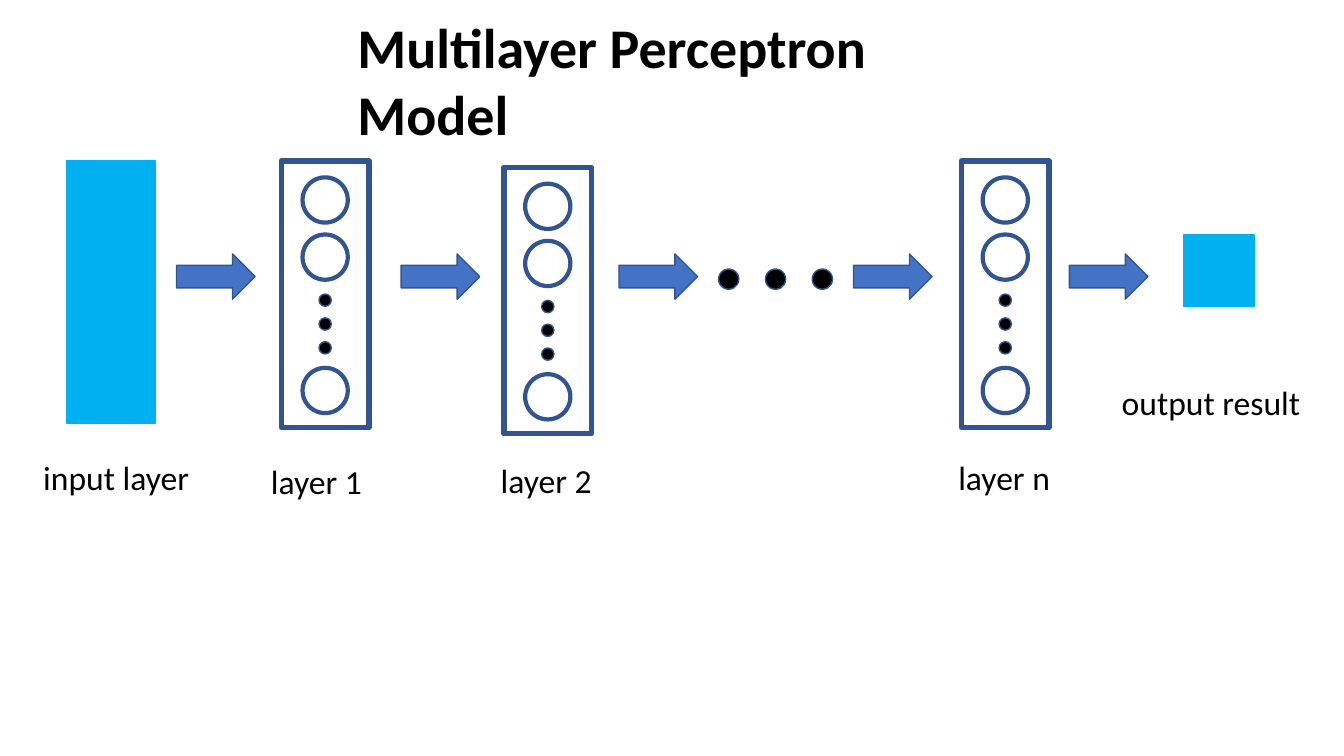
import dataclasses
import typing

import pptx
import pptx.dml.color
import pptx.enum.shapes
import pptx.enum.text
import pptx.util

Cm = pptx.util.Cm
Kind = pptx.enum.shapes.MSO_SHAPE
Color = pptx.dml.color.RGBColor.from_string


@dataclasses.dataclass(frozen=True)
class Theme:
    font: str = "Calibri"
    black: str = "000000"
    white: str = "FFFFFF"
    sky: str = "00B0F0"
    blue: str = "4472C4"
    navy: str = "325491"
    title: int = 40
    label: int = 24


@dataclasses.dataclass(frozen=True)
class Style:
    kind: Kind
    fill: str
    line: str
    weight: float


@dataclasses.dataclass(frozen=True)
class Box:
    left: float
    top: float
    width: float
    height: float

    def span(self) -> list[pptx.util.Length]:
        return [Cm(size) for size in dataclasses.astuple(self)]


@dataclasses.dataclass(frozen=True)
class Label:
    text: str
    box: Box
    size: int
    bold: bool = False


THEME = Theme()
BLOCK = Style(Kind.RECTANGLE, THEME.sky, THEME.sky, 1)
FRAME = Style(Kind.RECTANGLE, THEME.white, THEME.navy, 4)
NODE = Style(Kind.OVAL, THEME.white, THEME.navy, 3)
DOT = Style(Kind.OVAL, THEME.black, THEME.navy, 1)
ARROW = Style(Kind.RIGHT_ARROW, THEME.blue, THEME.navy, 1)

# Layer frames: left and top
LAYERS = [(7.09, 4.06), (12.7, 4.22), (24.23, 4.06)]
FRAME_W, FRAME_H = 2.21, 6.71
NODE_D, NODE_TOPS = 1.14, (0.41, 1.85, 5.21)
DOT_D, DOT_TOP, DOT_STEP = 0.31, 3.35, 0.6

ARROWS = [4.45, 10.11, 15.6, 21.51, 26.95]
BLOCKS = [Box(1.68, 4.06, 2.24, 6.6), Box(29.82, 5.92, 1.78, 1.8)]
LABELS = [
    Label("Multilayer Perceptron Model", Box(8.76, 0.18, 17.07, 1.96), THEME.title, True),
    Label("input layer", Box(0.84, 11.4, 4.52, 1.27), THEME.label),
    Label("layer 1", Box(6.58, 11.48, 3.25, 1.27), THEME.label),
    Label("layer 2", Box(12.37, 11.46, 2.87, 1.27), THEME.label),
    Label("layer n", Box(23.9, 11.4, 2.87, 1.27), THEME.label),
    Label("output result", Box(28.02, 9.5, 5.41, 1.27), THEME.label),
]


def apply(target: typing.Any, values: dict[str, typing.Any]) -> None:
    for name, value in values.items():
        setattr(target, name, value)


def draw(shapes: typing.Any, style: Style, box: Box) -> None:
    shape = shapes.add_shape(style.kind, *box.span())
    shape.shadow.inherit = False
    shape.fill.solid()
    shape.fill.fore_color.rgb = Color(style.fill)
    shape.line.color.rgb = Color(style.line)
    shape.line.width = pptx.util.Pt(style.weight)


def write(shapes: typing.Any, label: Label) -> None:
    frame = shapes.add_textbox(*label.box.span()).text_frame
    apply(frame, {
        "word_wrap": True,
        "auto_size": pptx.enum.text.MSO_AUTO_SIZE.SHAPE_TO_FIT_TEXT,
        "text": label.text,
    })
    font = frame.paragraphs[0].runs[0].font
    apply(font, {
        "name": THEME.font,
        "size": pptx.util.Pt(label.size),
        "bold": label.bold,
    })
    font.color.rgb = Color(THEME.black)


def layer(shapes: typing.Any, left: float, top: float) -> None:
    group = shapes.add_group_shape().shapes
    draw(group, FRAME, Box(left, top, FRAME_W, FRAME_H))
    mid = left + FRAME_W / 2
    for drop in NODE_TOPS:
        draw(group, NODE, Box(mid - NODE_D / 2, top + drop, NODE_D, NODE_D))
    for step in range(3):
        drop = DOT_TOP + step * DOT_STEP
        draw(group, DOT, Box(mid - DOT_D / 2, top + drop, DOT_D, DOT_D))


def main() -> None:
    deck = pptx.Presentation()
    apply(deck, {"slide_width": Cm(33.87), "slide_height": Cm(19.05)})
    shapes = deck.slides.add_slide(deck.slide_layouts[6]).shapes

    # Input and output blocks
    for box in BLOCKS:
        draw(shapes, BLOCK, box)

    # Layers with their nodes
    for left, top in LAYERS:
        layer(shapes, left, top)

    # Dots for the layers between
    dots = shapes.add_group_shape().shapes
    for step in range(3):
        draw(dots, DOT, Box(18.11 + step * 1.18, 6.78, 0.51, 0.51))

    # Arrows
    for left in ARROWS:
        draw(shapes, ARROW, Box(left, 6.4, 1.98, 1.14))

    # Title and labels
    for label in LABELS:
        write(shapes, label)

    deck.save("out.pptx")


if __name__ == "__main__":
    main()
